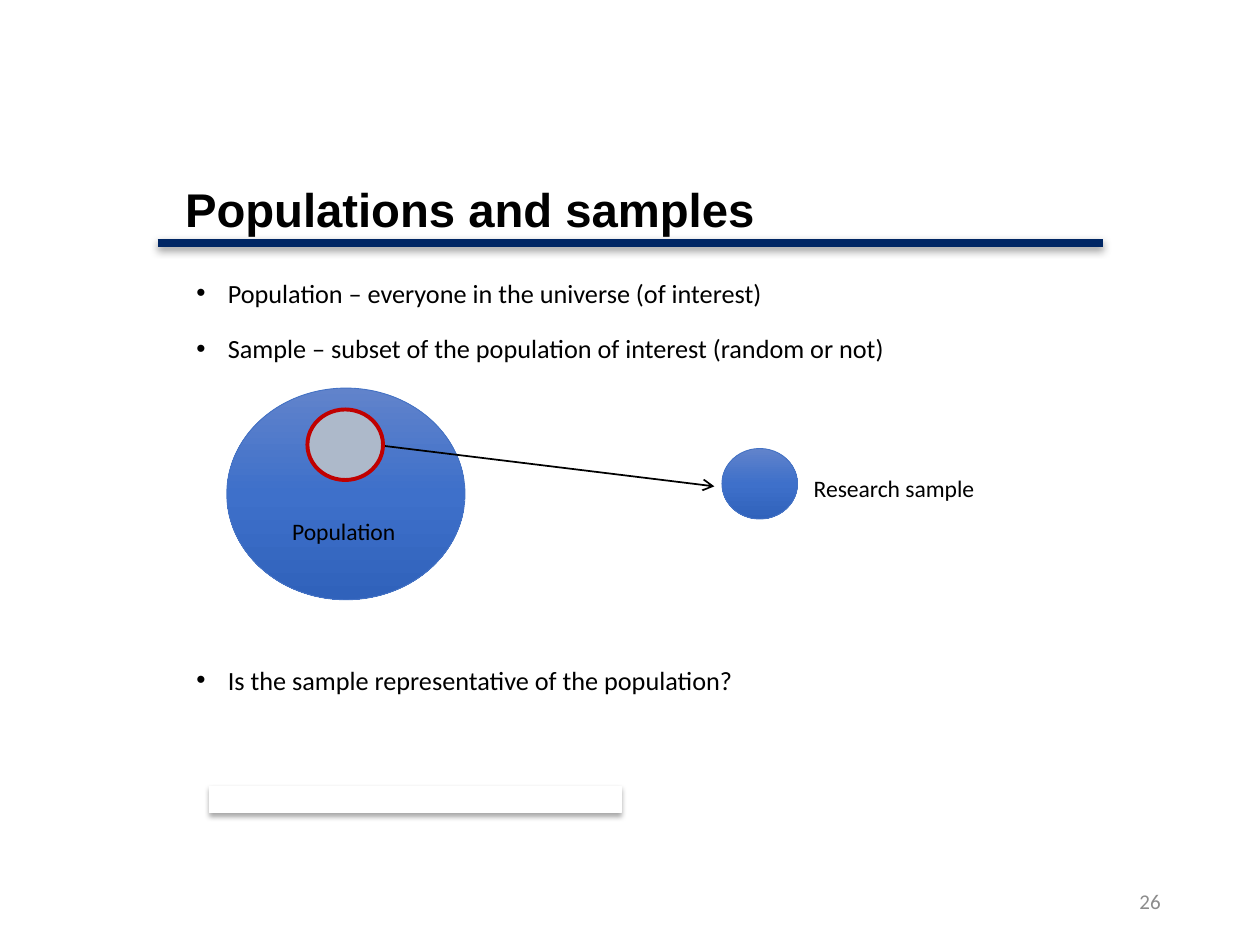
"""Build the slide that explains populations and samples."""
from copy import deepcopy
from dataclasses import dataclass
from typing import Optional

from lxml import etree
from pptx import Presentation
from pptx import util as u
from pptx.dml.color import RGBColor
from pptx.enum import shapes, text
from pptx.oxml.ns import qn


@dataclass(frozen=True)
class Theme:
    heading_font: str = "Arial"
    body_font: str = "Calibri"
    title_size: float = 27
    bullet_size: float = 15
    label_size: float = 13.5
    number_size: float = 12
    ink: str = "000000"
    muted: str = "8C8C8C"
    paper: str = "FFFFFF"
    rule: str = "002664"
    outline: str = "4472C4"
    sample_fill: str = "ADB9CA"
    sample_line: str = "C00000"
    gradient: tuple[str, ...] = ("6183CB", "3E70CA", "3062BB")


THEME = Theme()


@dataclass(frozen=True)
class Box:
    left: float
    top: float
    width: float
    height: float

    def lengths(self) -> list[u.Length]:
        return [u.Inches(v) for v in (self.left, self.top, self.width, self.height)]


@dataclass(frozen=True)
class Label:
    words: str
    box: Box
    size: float = THEME.label_size
    font: str = THEME.body_font
    color: str = THEME.ink
    bold: bool = False
    anchor: text.MSO_ANCHOR = text.MSO_ANCHOR.TOP
    align: text.PP_ALIGN = text.PP_ALIGN.LEFT
    line_spacing: Optional[float] = None


@dataclass(frozen=True)
class Bullet:
    words: str
    space_before: float


@dataclass(frozen=True)
class Figure:
    box: Box
    line: str
    line_width: float
    fill: Optional[str] = None
    kind: shapes.MSO_SHAPE = shapes.MSO_SHAPE.OVAL


@dataclass(frozen=True)
class Line:
    start: tuple[float, float]
    end: tuple[float, float]
    color: str
    width: float


@dataclass(frozen=True)
class Shadow:
    opacity: int
    blur: float
    distance: float


def rgb(color: str) -> RGBColor:
    return RGBColor.from_string(color)


def style_paragraph(paragraph, size: float, font: str, color: str, bold: bool = False) -> None:
    paragraph.font.size = u.Pt(size)
    paragraph.font.name = font
    paragraph.font.bold = bold
    paragraph.font.color.rgb = rgb(color)


def add_frame(slide, box: Box, anchor=text.MSO_ANCHOR.TOP):
    frame = slide.shapes.add_textbox(*box.lengths()).text_frame
    frame.word_wrap = True
    frame.vertical_anchor = anchor
    return frame


def add_label(slide, label: Label) -> None:
    paragraph = add_frame(slide, label.box, label.anchor).paragraphs[0]
    paragraph.text = label.words
    paragraph.alignment = label.align
    paragraph.line_spacing = label.line_spacing
    style_paragraph(paragraph, label.size, label.font, label.color, label.bold)


def add_bullets(slide, box: Box, bullets: list[Bullet]) -> None:
    frame = add_frame(slide, box)
    for index, bullet in enumerate(bullets):
        paragraph = frame.add_paragraph() if index else frame.paragraphs[0]
        paragraph.text = bullet.words
        properties = paragraph._p.get_or_add_pPr()
        properties.set("marL", str(u.Inches(0.25)))
        properties.set("indent", str(u.Inches(-0.25)))
        etree.SubElement(properties, qn("a:buFont"), typeface=THEME.heading_font)
        etree.SubElement(properties, qn("a:buChar"), char="•")
        paragraph.line_spacing = 1.2
        paragraph.space_before = u.Pt(bullet.space_before)
        style_paragraph(paragraph, THEME.bullet_size, THEME.body_font, THEME.ink)


def fill_gradient(shape) -> None:
    shape.fill.gradient()
    stop_list = shape._element.spPr.find(".//" + qn("a:gsLst"))
    stop_list.append(deepcopy(stop_list[0]))
    for index, (stop, color) in enumerate(zip(shape.fill.gradient_stops, THEME.gradient)):
        stop.color.rgb = rgb(color)
        stop.position = index / 2
    shape.fill.gradient_angle = 270


def add_figure(slide, figure: Figure):
    shape = slide.shapes.add_shape(figure.kind, *figure.box.lengths())
    shape.shadow.inherit = False
    if figure.fill:
        shape.fill.solid()
        shape.fill.fore_color.rgb = rgb(figure.fill)
    else:
        fill_gradient(shape)
    shape.line.color.rgb = rgb(figure.line)
    shape.line.width = u.Pt(figure.line_width)
    return shape


def add_line(slide, line: Line):
    ends = [u.Inches(v) for v in (*line.start, *line.end)]
    connector = slide.shapes.add_connector(shapes.MSO_CONNECTOR.STRAIGHT, *ends)
    connector.line.color.rgb = rgb(line.color)
    connector.line.width = u.Pt(line.width)
    etree.SubElement(connector._element.spPr, qn("a:effectLst"))
    return connector


def cast_shadow(shape, shadow: Shadow) -> None:
    effects = shape._element.spPr.find(qn("a:effectLst"))
    outer = etree.SubElement(
        effects, qn("a:outerShdw"), blurRad=str(u.Pt(shadow.blur)),
        dist=str(u.Pt(shadow.distance)), dir="5400000", rotWithShape="0")
    color = etree.SubElement(outer, qn("a:srgbClr"), val=THEME.ink)
    etree.SubElement(color, qn("a:alpha"), val=str(shadow.opacity * 1000))


def main() -> None:
    deck = Presentation()
    deck.slide_width, deck.slide_height = u.Inches(10), u.Inches(7.5)
    slide = deck.slides.add_slide(deck.slide_layouts[6])

    add_label(slide, Label("Populations and samples", Box(1.37, 1.14, 7.38, 1.09),
                           THEME.title_size, THEME.heading_font, bold=True,
                           anchor=text.MSO_ANCHOR.MIDDLE, line_spacing=0.9))
    add_bullets(slide, Box(1.46, 2.1, 7.13, 3.96), [
        Bullet("Population – everyone in the universe (of interest)", 0),
        Bullet("Sample – subset of the population of interest (random or not)", 10),
        Bullet("Is the sample representative of the population?", 168),
    ])

    title_rule = add_line(slide, Line((1.25, 1.93), (8.75, 1.93), THEME.rule, 4.5))
    cast_shadow(title_rule, Shadow(38, 5, 1.6))
    blank_strip = add_figure(slide, Figure(Box(1.66, 6.24, 3.27, 0.21), THEME.paper, 0.5,
                                           THEME.paper, shapes.MSO_SHAPE.RECTANGLE))
    cast_shadow(blank_strip, Shadow(35, 3.1, 1.8))

    add_figure(slide, Figure(Box(1.8, 3.08, 1.89, 1.68), THEME.outline, 0.5))
    add_figure(slide, Figure(Box(5.73, 3.56, 0.6, 0.56), THEME.outline, 0.5))
    selection = add_line(slide, Line((2.73, 3.5), (5.67, 3.86), THEME.ink, 1))
    etree.SubElement(selection.line._get_or_add_ln(), qn("a:tailEnd"), type="arrow")
    add_figure(slide, Figure(Box(2.44, 3.25, 0.6, 0.56), THEME.sample_line, 2.25,
                             THEME.sample_fill))

    add_label(slide, Label("Population", Box(2.22, 4.05, 1.12, 0.33)))
    add_label(slide, Label("Research sample", Box(6.36, 3.71, 2.05, 0.33)))
    add_label(slide, Label("26", Box(7.06, 6.95, 2.25, 0.4), THEME.number_size,
                           color=THEME.muted, anchor=text.MSO_ANCHOR.MIDDLE,
                           align=text.PP_ALIGN.RIGHT))
    deck.save("out.pptx")


if __name__ == "__main__":
    main()
